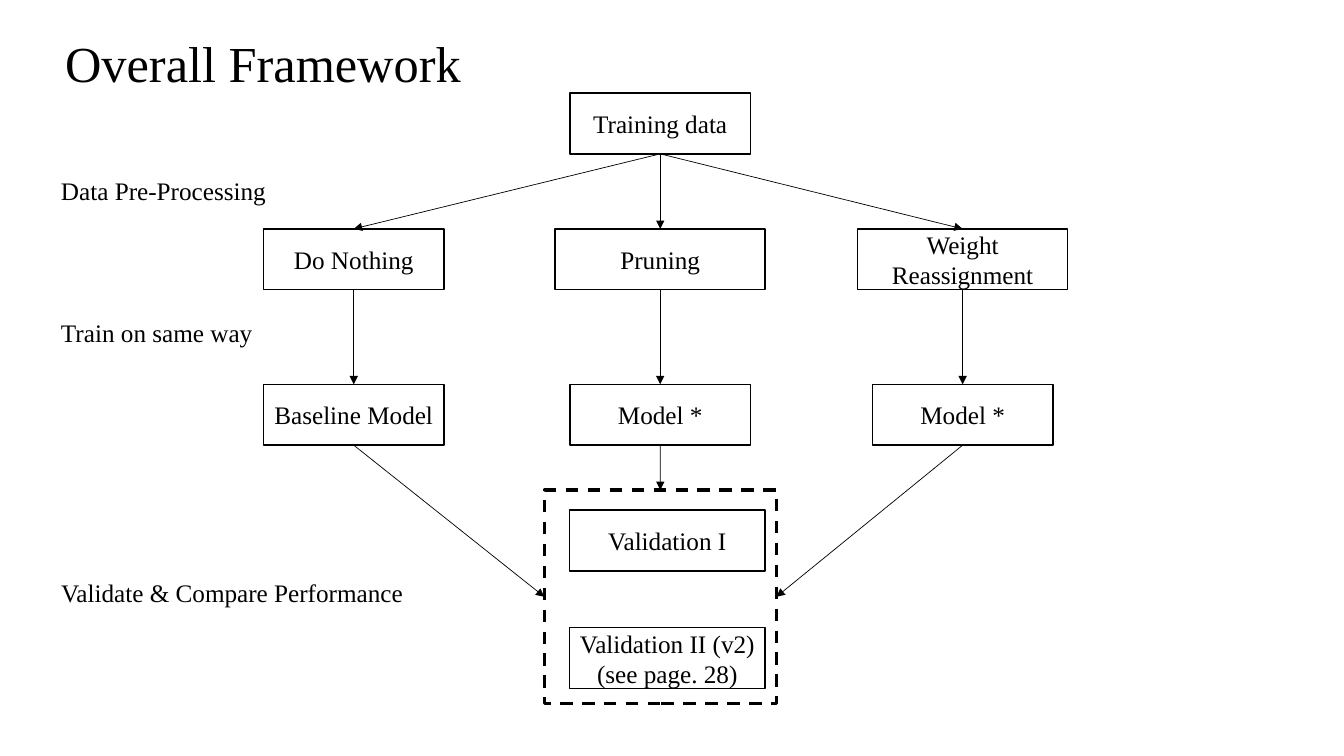
from lxml import etree
from pptx import Presentation
from pptx.dml.color import RGBColor
from pptx.enum import dml, shapes, text
from pptx.oxml import ns
from pptx.util import Pt

BLACK = RGBColor(0, 0, 0)
FONT = "Times New Roman"
LEFT, MID, RIGHT = 252.7, 471.6, 687.6
BOX_H = 43.5
TOP, BOTTOM = 0, 2

prs = Presentation()
prs.slide_width, prs.slide_height = Pt(960), Pt(540)
s = prs.slides.add_slide(prs.slide_layouts[6])


def write(sp, words, size, align, anchor):
    tf = sp.text_frame
    tf.word_wrap = True
    tf.vertical_anchor = anchor
    tf.text = words
    for p in tf.paragraphs:
        p.alignment = align
        for r in p.runs:
            r.font.name, r.font.size = FONT, Pt(size)
            r.font.color.rgb = BLACK


def add_box(x, y, w, h, weight):
    sp = s.shapes.add_shape(shapes.MSO_SHAPE.RECTANGLE, Pt(x), Pt(y), Pt(w), Pt(h))
    sp.shadow.inherit = False
    sp.fill.background()
    sp.line.color.rgb = BLACK
    sp.line.width = Pt(weight)
    return sp


title = s.shapes.add_textbox(Pt(20.2), Pt(0), Pt(335.5), Pt(70.6))
write(title, "Overall Framework", 36, text.PP_ALIGN.CENTER, text.MSO_ANCHOR.BOTTOM)
title.text_frame.paragraphs[0].line_spacing = 0.9

boxes = []
for words, center, y, w in [
    ("Training data", MID, 66.4, 129),
    ("Do Nothing", LEFT, 163.5, 129),
    ("Pruning", MID, 163.5, 150),
    ("Weight Reassignment", RIGHT, 163.5, 150),
    ("Baseline Model", LEFT, 274.5, 129),
    ("Model *", MID, 274.5, 129),
    ("Model *", RIGHT, 274.5, 129),
    ("Validation I", 476.7, 364.3, 139.7),
    ("Validation II (v2)\n(see page. 28)", 476.7, 448.4, 139.7),
]:
    sp = add_box(center - w / 2, y, w, BOX_H, 1)
    write(sp, words, 18, text.PP_ALIGN.CENTER, text.MSO_ANCHOR.MIDDLE)
    boxes.append(sp)

frame = add_box(388.8, 350, 165.8, 152.6, 2.25)
frame.line.dash_style = dml.MSO_LINE.DASH

data, methods, models = boxes[0], boxes[1:4], boxes[4:7]
arrows = [(data, method, TOP) for method in methods]
arrows += [(method, model, TOP) for method, model in zip(methods, models)]
arrows += [(model, frame, site) for model, site in zip(models, (1, TOP, 3))]
for start, end, site in arrows:
    c = s.shapes.add_connector(shapes.MSO_CONNECTOR.STRAIGHT, 0, 0, 0, 0)
    c.begin_connect(start, BOTTOM)
    c.end_connect(end, site)
    c.line.color.rgb = BLACK
    c.line.width = Pt(0.5)
    etree.SubElement(c.line._get_or_add_ln(), ns.qn("a:tailEnd"), type="triangle")
    etree.SubElement(c._element.spPr, ns.qn("a:effectLst"))

for words, y, w in [
    ("Data Pre-Processing", 121.9, 197),
    ("Train on same way", 222.8, 197),
    ("Validate & Compare Performance", 408.9, 267),
]:
    tb = s.shapes.add_textbox(Pt(36.5), Pt(y), Pt(w), Pt(29.1))
    write(tb, words, 18, text.PP_ALIGN.LEFT, text.MSO_ANCHOR.TOP)

prs.save("out.pptx")
